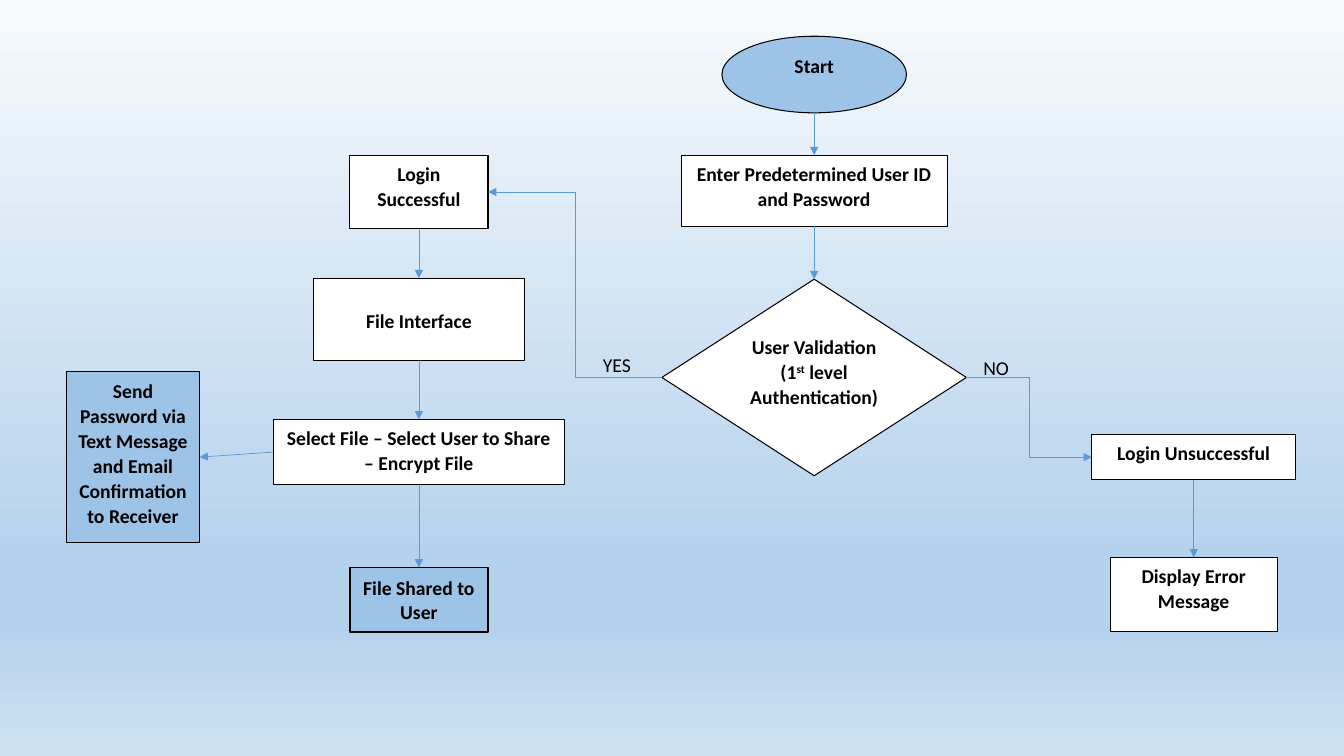
from lxml import etree
from pptx import Presentation
from pptx.dml.color import RGBColor
from pptx.enum.shapes import MSO_CONNECTOR, MSO_SHAPE
from pptx.enum.text import MSO_ANCHOR, PP_ALIGN
from pptx.oxml.ns import qn
from pptx.util import Inches, Pt

W, H = Inches(13.33), Inches(7.5)
ELLIPSE, PROCESS = MSO_SHAPE.OVAL, MSO_SHAPE.FLOWCHART_PROCESS
DECISION, RECT = MSO_SHAPE.FLOWCHART_DECISION, MSO_SHAPE.RECTANGLE
STRAIGHT, ELBOW = MSO_CONNECTOR.STRAIGHT, MSO_CONNECTOR.ELBOW
TOP_ANCHOR, MIDDLE = MSO_ANCHOR.TOP, MSO_ANCHOR.MIDDLE
CENTER, LEFT_ALIGN = PP_ALIGN.CENTER, PP_ALIGN.LEFT
TOP, LEFT, BOTTOM, RIGHT = range(4)
WHITE, BLUE, BLACK, ARROW = "FFFFFF", "9DC3E6", "000000", "5B9BD5"
SEND_X, FILE_X, LOGIN_X, ERROR_X = 9.9, 31.17, 60.58, 88.82
BACKGROUND = [(0, "F7FAFD"), (74, "B5D2EC"), (83, "B5D2EC"), (100, "CEE1F2")]


def color(value):
    """Turn a hex string into a colour."""
    return RGBColor.from_string(value)


def frame(center, top, width, height):
    """Turn percent shares of the slide into left, top, width and height."""
    return (int(W * (center - width / 2) / 100), int(H * top / 100),
            int(W * width / 100), int(H * height / 100))


def paint_background(s):
    """Fill the slide with a vertical gradient."""
    fill = s.background.fill
    fill.gradient()
    fill.gradient_angle = 270
    stops = next(s.element.iter(qn("a:gsLst")))
    for stop in list(stops):
        stops.remove(stop)
    for share, value in BACKGROUND:
        stop = etree.SubElement(stops, qn("a:gs"), pos=str(share * 1000))
        etree.SubElement(stop, qn("a:srgbClr"), val=value)


def format_font(font, bold):
    """Apply the chart's typeface to a font."""
    font.name, font.size, font.bold = "Calibri", Pt(14), bold
    font.color.rgb = color(BLACK)


def add_step(s, kind, place, text, fill=WHITE, anchor=TOP_ANCHOR,
             line=0.75, spacing=1.07):
    """Add a step; a caret on each side marks superscript in its text."""
    sp = s.shapes.add_shape(kind, *frame(*place))
    sp.shadow.inherit = False
    sp.fill.solid()
    sp.fill.fore_color.rgb = color(fill)
    sp.line.color.rgb = color(BLACK)
    sp.line.width = Pt(line)
    tf = sp.text_frame
    tf.word_wrap, tf.vertical_anchor = True, anchor
    p = tf.paragraphs[0]
    p.alignment, p.line_spacing = CENTER, spacing
    p.space_after = Pt(8 if spacing > 1 else 0)
    for i, part in enumerate(text.split("^")):
        r = p.add_run()
        r.text = part
        format_font(r.font, True)
        if i % 2:
            r._r.get_or_add_rPr().set("baseline", "30000")
    return sp


def add_label(s, place, text, align):
    """Add a branch label."""
    tf = s.shapes.add_textbox(*frame(*place)).text_frame
    tf.word_wrap, tf.vertical_anchor = True, MIDDLE
    p = tf.paragraphs[0]
    p.text, p.alignment = text, align
    format_font(p.runs[0].font, False)


def add_arrow(s, start, end, begin_side=BOTTOM, end_side=TOP, kind=STRAIGHT):
    """Add an arrow between the sides of two steps."""
    x, y = start.left + start.width // 2, start.top + start.height
    c = s.shapes.add_connector(kind, x, y, x, end.top)
    if start.auto_shape_type != ELLIPSE:
        c.begin_connect(start, begin_side)
    c.end_connect(end, end_side)
    c.line.color.rgb = color(ARROW)
    c.line.width = Pt(0.5)
    etree.SubElement(c.line._get_or_add_ln(), qn("a:tailEnd"), type="triangle")
    etree.SubElement(c._element.spPr, qn("a:effectLst"))


def main():
    """Build the login and file sharing flowchart."""
    prs = Presentation()
    prs.slide_width, prs.slide_height = W, H
    s = prs.slides.add_slide(prs.slide_layouts[6])
    paint_background(s)

    start = add_step(s, ELLIPSE, (LOGIN_X, 4.8, 13.73, 10.13), "Start", BLUE)
    enter = add_step(s, PROCESS, (LOGIN_X, 20.53, 19.8, 9.4),
                     "Enter Predetermined User ID and Password")
    validation = add_step(s, DECISION, (LOGIN_X, 36.93, 22.66, 26),
                          "User Validation (1^st^ level Authentication)")
    failure = add_step(s, PROCESS, (ERROR_X, 57.47, 15.15, 6),
                       "Login Unsuccessful")
    error = add_step(s, PROCESS, (ERROR_X, 73.73, 12.45, 9.87),
                     "Display Error Message")
    success = add_step(s, PROCESS, (FILE_X, 20.53, 10.28, 9.73),
                       "Login Successful")
    interface = add_step(s, PROCESS, (FILE_X, 36.8, 15.68, 10.93),
                         "File Interface", anchor=MIDDLE)
    select = add_step(s, PROCESS, (FILE_X, 55.47, 21.68, 8.67),
                      "Select File – Select User to Share – Encrypt File")
    send = add_step(s, PROCESS, (SEND_X, 49.2, 9.9, 22.53),
                    "Send Password via Text Message and Email "
                    "Confirmation to Receiver", BLUE)
    shared = add_step(s, RECT, (FILE_X, 75.07, 10.28, 8.53),
                      "File Shared to User", BLUE, MIDDLE, 1, 1.0)

    for first, second in [(start, enter), (enter, validation),
                          (failure, error), (success, interface),
                          (interface, select), (select, shared)]:
        add_arrow(s, first, second)
    add_arrow(s, select, send, LEFT, RIGHT)
    add_arrow(s, validation, success, LEFT, RIGHT, ELBOW)
    add_arrow(s, validation, failure, RIGHT, LEFT, ELBOW)
    add_label(s, (46.29, 46, 4.35, 4.53), "YES", LEFT_ALIGN)
    add_label(s, (74.12, 46.67, 4.35, 3.87), "NO", CENTER)
    prs.save("out.pptx")


if __name__ == "__main__":
    main()
